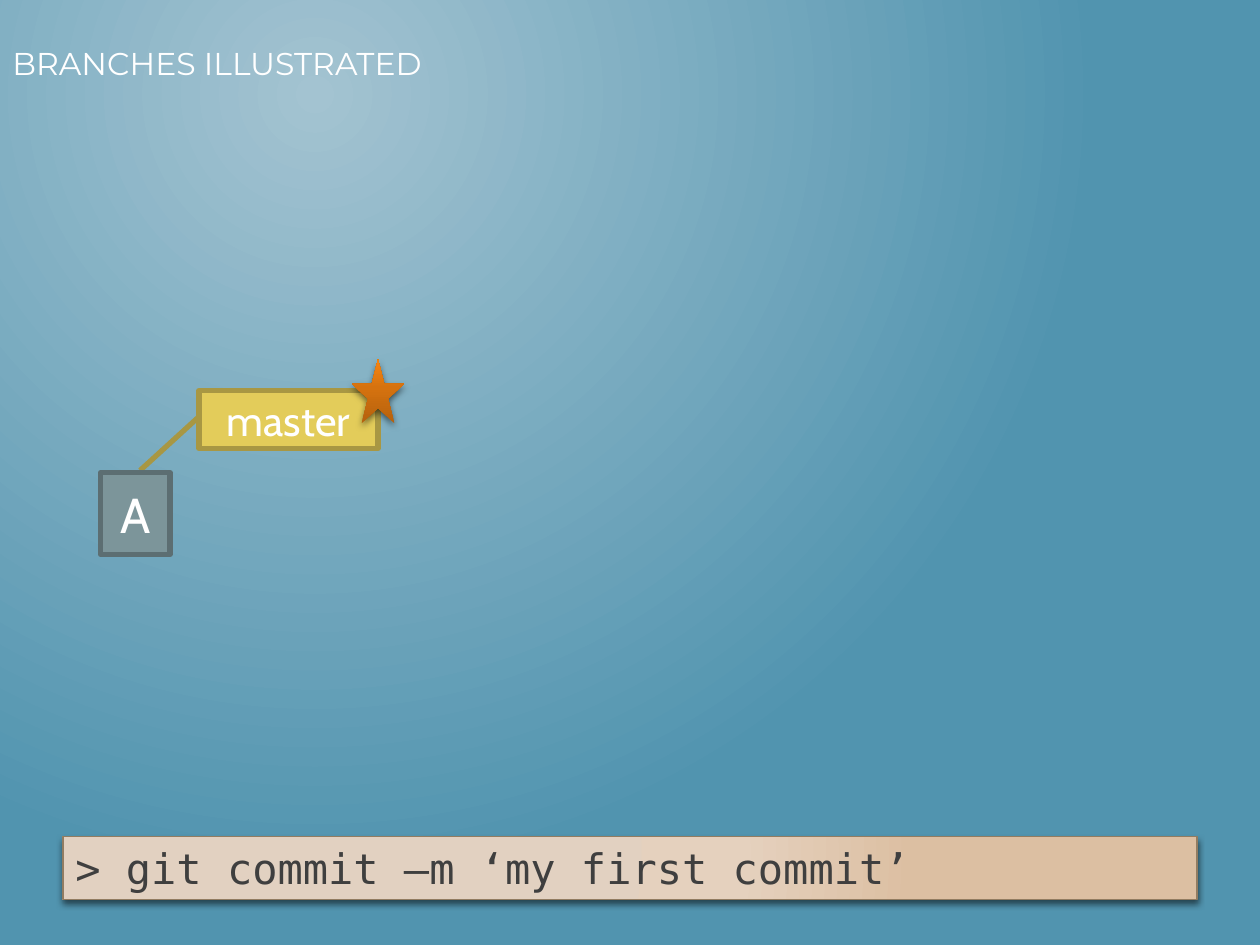
from dataclasses import dataclass

from lxml import etree
from pptx import Presentation
from pptx import util as u
from pptx.dml.color import RGBColor
from pptx.enum import shapes, text
from pptx.oxml.ns import qn


@dataclass(frozen=True)
class Theme:
    white: str = "FFFFFF"
    ink: str = "3F3F3F"
    branch: str = "E3CC5A"
    branch_edge: str = "A89743"
    commit: str = "7C959A"
    commit_edge: str = "5C6E72"
    command_edge: str = "927C61"
    backdrop: tuple = ((0, "A3C3D1"), (100, "5194AF"))
    command: tuple = ((0, "E2D1C1"), (35, "E2D1C1"), (69, "E5D1BE"), (100, "DCBFA2"))
    star: tuple = ((0, "B5610D"), (55, "D5720F"), (100, "F88511"))
    heading: str = "Montserrat"
    body: str = "Cabin"
    code: str = "DejaVu Sans Mono"
    title_size: int = 18
    label_size: int = 24
    commit_size: int = 28
    thick: float = 3
    thin: float = 0.75


THEME = Theme()


def add(parent, tag, **attributes):
    return etree.SubElement(parent, qn(tag), {k: str(v) for k, v in attributes.items()})


def paint_gradient(fill, holder, stops, center=None, angle=0):
    fill.gradient()
    gradient = holder.find(".//" + qn("a:gradFill"))
    for child in list(gradient):
        gradient.remove(child)
    stop_list = add(gradient, "a:gsLst")
    for position, color in stops:
        stop = add(stop_list, "a:gs", pos=position * 1000)
        add(stop, "a:srgbClr", val=color)
    if center:
        left, top = center
        circle = etree.SubElement(gradient, qn("a:path"), {"path": "circle"})
        add(circle, "a:fillToRect", l=left * 1000, t=top * 1000, r=100000, b=100000)
    else:
        add(gradient, "a:lin", ang=angle * 60000, scaled=0)


def cast_shadow(shape):
    effects = shape._element.spPr.find(qn("a:effectLst"))
    shadow = add(effects, "a:outerShdw", blurRad=u.Pt(4), dist=u.Pt(2),
                 dir=90 * 60000, rotWithShape=0)
    add(add(shadow, "a:srgbClr", val="000000"), "a:alpha", val=55000)


def add_box(page, kind, box, fill=None, edge=None, weight=0):
    shape = page.shapes.add_shape(kind, *map(u.Inches, box))
    shape.shadow.inherit = False
    if fill:
        shape.fill.solid()
        shape.fill.fore_color.rgb = RGBColor.from_string(fill)
    if edge:
        shape.line.color.rgb = RGBColor.from_string(edge)
        shape.line.width = u.Pt(weight)
    else:
        shape.line.fill.background()
    return shape


def write(shape, words, font, size, color, align=text.PP_ALIGN.LEFT,
          anchor=text.MSO_ANCHOR.TOP):
    frame = shape.text_frame
    frame.text = words
    frame.word_wrap = True
    frame.vertical_anchor = anchor
    para = frame.paragraphs[0]
    para.alignment = align
    span = para.runs[0]
    span.font.name = font
    span.font.size = u.Pt(size)
    span.font.color.rgb = RGBColor.from_string(color)


def write_label(shape, words, size):
    write(shape, words, THEME.body, size, THEME.white,
          text.PP_ALIGN.CENTER, text.MSO_ANCHOR.MIDDLE)


def add_title(page, box, words):
    title = page.shapes.add_textbox(*map(u.Inches, box))
    write(title, words, THEME.heading, THEME.title_size, THEME.white)


def add_branch(page, box, name):
    branch = add_box(page, shapes.MSO_SHAPE.LINE_CALLOUT_1, box,
                     THEME.branch, THEME.branch_edge, THEME.thick)
    for index, value in enumerate((0.45, 0, 1.38, -0.33)):
        branch.adjustments[index] = value
    write_label(branch, name, THEME.label_size)


def add_commit(page, box, name):
    commit = add_box(page, shapes.MSO_SHAPE.RECTANGLE, box,
                     THEME.commit, THEME.commit_edge, THEME.thick)
    write_label(commit, name, THEME.commit_size)


def add_command(page, box, words):
    bar = add_box(page, shapes.MSO_SHAPE.RECTANGLE, box,
                  edge=THEME.command_edge, weight=THEME.thin)
    paint_gradient(bar.fill, bar._element.spPr, THEME.command, center=(50, 50))
    cast_shadow(bar)
    write(bar, words, THEME.code, THEME.label_size, THEME.ink)
    bar.text_frame.auto_size = text.MSO_AUTO_SIZE.SHAPE_TO_FIT_TEXT


def add_star(page, box):
    star = add_box(page, shapes.MSO_SHAPE.STAR_5_POINT, box)
    paint_gradient(star.fill, star._element.spPr, THEME.star, angle=270)
    cast_shadow(star)


def build_branch_page(deck):
    page = deck.slides.add_slide(deck.slide_layouts[6])
    paint_gradient(page.background.fill, page._element, THEME.backdrop, center=(50, 20))
    add_title(page, (0, 0.3, 9, 1.25), "BRANCHES ILLUSTRATED")
    add_branch(page, (1.58, 3.1, 1.42, 0.46), "master")
    add_commit(page, (0.8, 3.75, 0.55, 0.65), "A")
    add_command(page, (0.5, 6.64, 9, 0.5), "> git commit –m ‘my first commit’")
    add_star(page, (2.79, 2.85, 0.42, 0.51))


deck = Presentation()
deck.slide_width, deck.slide_height = u.Inches(10), u.Inches(7.5)
build_branch_page(deck)
deck.save("out.pptx")
